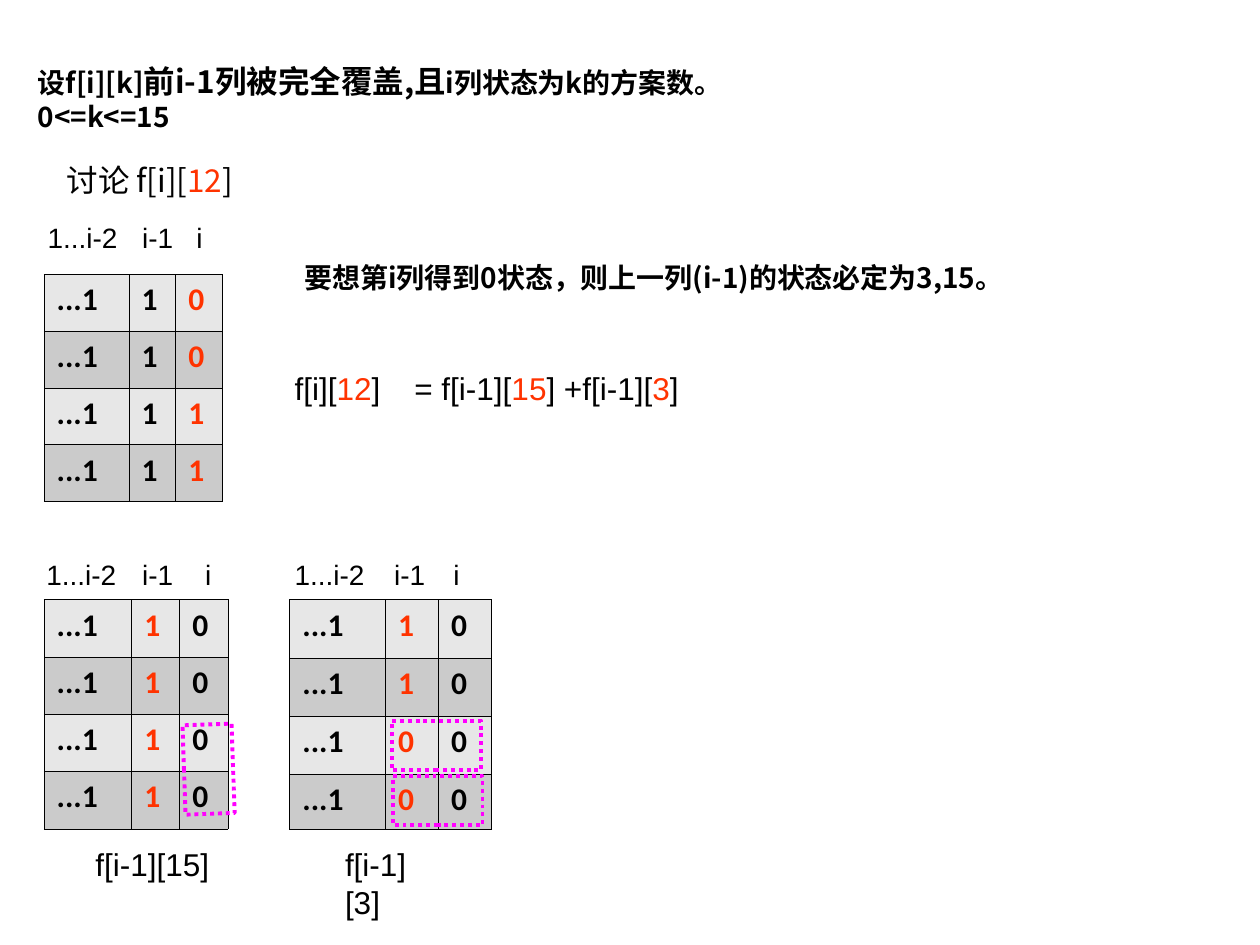
import pptx
import pptx.util
import pptx.dml.color
import pptx.enum.dml
import pptx.enum.shapes
import pptx.enum.text
import pptx.oxml
import pptx.oxml.ns

BLACK = pptx.dml.color.RGBColor(0x00, 0x00, 0x00)
RED = pptx.dml.color.RGBColor(0xFF, 0x33, 0x00)
MAGENTA = pptx.dml.color.RGBColor(0xFF, 0x00, 0xFF)
LIGHT = pptx.dml.color.RGBColor(0xE7, 0xE7, 0xE7)
DARK = pptx.dml.color.RGBColor(0xCB, 0xCB, 0xCB)

CJK = "Noto Sans CJK SC"
NAMESPACE = pptx.oxml.ns.nsdecls("a")
COLUMNS, ROWS = 100, 75


class Board:
    """Holds the style and the current page; places are grid columns and rows."""

    def __init__(self, deck):
        self.page = deck.slides.add_slide(deck.slide_layouts[5])
        self.column = deck.slide_width / COLUMNS
        self.row = deck.slide_height / ROWS

    def place(self, left, top, width, height):
        return (round(left * self.column), round(top * self.row),
                round(width * self.column), round(height * self.row))

    def fill_para(self, para, text, size, name="Arial", bold=False,
                  color=BLACK, accent=RED, accent_size=None):
        """Set the text; every second piece between bars is accented."""
        font = para.font
        font.size = pptx.util.Pt(size)
        font.name = name
        font.bold = bold
        font.color.rgb = color
        # East Asian text follows the same typeface
        font._element.find(pptx.oxml.ns.qn("a:latin")).addnext(
            pptx.oxml.parse_xml(f'<a:ea {NAMESPACE} typeface="{name}"/>'))
        for index, piece in enumerate(text.split("|")):
            span = para.add_run()
            span.text = piece
            if index % 2:
                span.font.color.rgb = accent
                if accent_size:
                    span.font.size = pptx.util.Pt(accent_size)

    def title(self, place, lines):
        box = self.page.shapes.title
        box.left, box.top, box.width, box.height = self.place(*place)
        frame = box.text_frame
        frame.word_wrap = True
        frame.auto_size = pptx.enum.text.MSO_AUTO_SIZE.NONE
        frame.vertical_anchor = pptx.enum.text.MSO_ANCHOR.TOP
        for index, line in enumerate(lines):
            para = frame.add_paragraph() if index else frame.paragraphs[0]
            para.alignment = pptx.enum.text.PP_ALIGN.LEFT
            self.fill_para(para, line, 16, CJK, True, accent=BLACK, accent_size=18)

    def text(self, place, text, size, wrap=True, **style):
        box = self.page.shapes.add_textbox(*self.place(*place))
        frame = box.text_frame
        frame.word_wrap = wrap
        frame.auto_size = pptx.enum.text.MSO_AUTO_SIZE.SHAPE_TO_FIT_TEXT
        self.fill_para(frame.paragraphs[0], text, size, **style)

    def labels(self, top, lefts):
        for label, left, width in zip(("1...i-2", "i-1", "i"), lefts, (8.5, 5.9, 6.5)):
            self.text((left, top, width, 3.7), label, 16)

    def border(self, cell):
        properties = cell._tc.get_or_add_tcPr()
        for side in ("lnL", "lnR", "lnT", "lnB"):
            properties.append(pptx.oxml.parse_xml(
                f'<a:{side} {NAMESPACE} w="5715"><a:solidFill>'
                f'<a:srgbClr val="{BLACK}"/></a:solidFill></a:{side}>'))

    def states(self, left, top, widths, heights, values, red_column):
        """Table of column states; one column is shown in red."""
        place = self.place(left, top, sum(widths), sum(heights))
        table = self.page.shapes.add_table(len(values), len(widths), *place).table
        table.first_row = table.horz_banding = False
        for column, width in zip(table.columns, widths):
            column.width = round(width * self.column)
        for index, (row, height) in enumerate(zip(table.rows, heights)):
            row.height = round(height * self.row)
            for position, cell in enumerate(row.cells):
                self.border(cell)
                cell.fill.solid()
                cell.fill.fore_color.rgb = DARK if index % 2 else LIGHT
                para = cell.text_frame.paragraphs[0]
                # The first paragraph needs no space before: the margin holds it
                cell.margin_top = pptx.util.Pt(3.6)
                self.fill_para(para, ("...1", *values[index])[position], 18, "Calibri",
                               True, RED if position == red_column else BLACK)

    def marker(self, left, top, turn=0):
        """Dotted frame around a pair of cells."""
        shape = self.page.shapes.add_shape(
            pptx.enum.shapes.MSO_SHAPE.RECTANGLE, *self.place(left, top, 7.1, 3.9))
        shape.shadow.inherit = False
        shape.rotation = turn
        shape.fill.background()
        shape.line.color.rgb = MAGENTA
        shape.line.width = pptx.util.Pt(2.25)
        shape.line.dash_style = pptx.enum.dml.MSO_LINE.ROUND_DOT


def main():
    deck = pptx.Presentation()
    deck.slide_width = pptx.util.Inches(10)
    deck.slide_height = pptx.util.Inches(7.5)
    board = Board(deck)

    # Definition and discussion
    board.title((2, 4.4, 85.8, 6.7),
                ("设f[i][k]|前i-1列被完全覆盖,且|i列状态为k的方案数。", "0<=k<=15"))
    board.text((23.2, 20.2, 73.2, 3.7),
               "要想第i列得到0状态，则上一列(i-1)的状态必定为3,15。", 16, name=CJK, bold=True)
    board.text((4.3, 12.3, 28.4, 4), "讨论 f[i][|12|]", 18, name=CJK)

    # Target state
    board.labels(17, (2.8, 10.3, 14.6))
    board.states(3.5, 21.8, (6.75, 3.7, 3.7), [4.5] * 4, ("10", "10", "11", "11"), 2)

    # Recurrence
    board.text((22.4, 28.8, 9.3, 4), "f[i][|12|]", 18)
    board.text((31.9, 28.8, 28.4, 4), "= f[i-1][|15|] +f[i-1][|3|]", 18)

    # Previous states
    board.labels(43.8, (2.7, 10.3, 15.3))
    board.states(3.5, 47.6, (6.95, 3.82, 3.82), [4.55] * 4, ["10"] * 4, 1)
    board.text((6.6, 66.6, 11, 4), "f[i-1][15]", 18, wrap=False)

    board.labels(43.8, (22.4, 30.3, 35))
    board.states(23, 47.6, (7.6, 4.2, 4.2), (4.65, 4.6, 4.6, 4.35),
                 ("10", "10", "00", "00"), 1)
    board.text((26.4, 66.6, 9.6, 4), "f[i-1][3]", 18, wrap=False)

    # Domino positions
    board.marker(31.1, 57.2)
    board.marker(13, 59.1, turn=88)
    board.marker(31.2, 61.6)

    deck.save("out.pptx")


if __name__ == "__main__":
    main()
